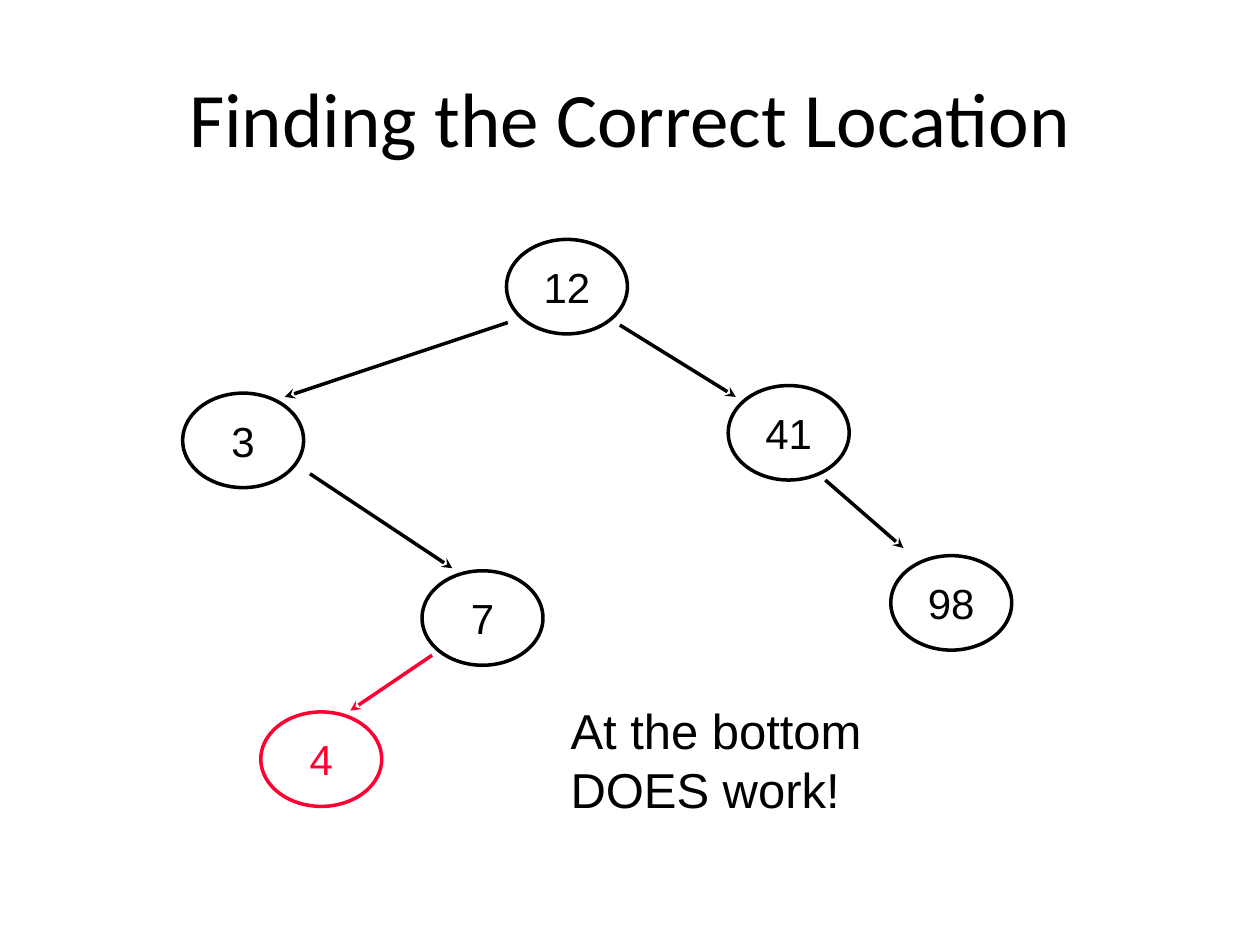
from lxml.etree import SubElement
from pptx import Presentation
from pptx.dml.color import RGBColor
from pptx.enum.shapes import MSO_CONNECTOR, MSO_SHAPE
from pptx.enum.text import MSO_ANCHOR, MSO_AUTO_SIZE, PP_ALIGN
from pptx.oxml.ns import qn
from pptx.util import Inches, Pt

BLACK = RGBColor(0x00, 0x00, 0x00)
RED = RGBColor(0xFF, 0x00, 0x33)

TITLE = "Finding the Correct Location"
REMARK = "At the bottom\nDOES work!"
NODE_WIDTH, NODE_HEIGHT = 0.96, 0.75
LINE_WIDTH = Pt(2)

# value, left, top, colour
NODES = [
    ("12", 4.02, 1.9, BLACK),
    ("3", 1.45, 3.12, BLACK),
    ("7", 3.35, 4.53, BLACK),
    ("41", 5.78, 3.06, BLACK),
    ("98", 7.07, 4.41, BLACK),
    ("4", 2.07, 5.65, RED),
]
# start, end, colour
ARROWS = [
    ((4.03, 2.56), (2.26, 3.15), BLACK),
    ((2.46, 3.76), (3.59, 4.51), BLACK),
    ((4.92, 2.58), (5.84, 3.15), BLACK),
    ((6.55, 3.81), (7.17, 4.35), BLACK),
    ((3.43, 5.2), (2.78, 5.64), RED),
]


def write(shape, text, size, font_name, color, align, anchor, wrap=False):
    text_frame = shape.text_frame
    text_frame.word_wrap = wrap
    text_frame.vertical_anchor = anchor
    paragraph = text_frame.paragraphs[0]
    paragraph.text = text
    paragraph.alignment = align
    for run in paragraph.runs:
        run.font.size = Pt(size)
        run.font.name = font_name
        run.font.color.rgb = color


def add_text(slide, box, *style, **options):
    shape = slide.shapes.add_textbox(*map(Inches, box))
    write(shape, *style, **options)
    return shape


def add_node(slide, value, left, top, color):
    box = map(Inches, (left, top, NODE_WIDTH, NODE_HEIGHT))
    node = slide.shapes.add_shape(MSO_SHAPE.OVAL, *box)
    node.shadow.inherit = False
    node.fill.background()
    node.line.color.rgb = color
    node.line.width = LINE_WIDTH
    write(node, value, 24, "Arial", color, PP_ALIGN.CENTER, MSO_ANCHOR.MIDDLE)


def add_arrow(slide, start, end, color):
    arrow = slide.shapes.add_connector(
        MSO_CONNECTOR.STRAIGHT, *map(Inches, start + end))
    arrow.line.color.rgb = color
    arrow.line.width = LINE_WIDTH
    SubElement(arrow.line._get_or_add_ln(), qn("a:tailEnd"), type="stealth")
    SubElement(arrow._element.spPr, qn("a:effectLst"))


def main():
    presentation = Presentation()
    presentation.slide_width, presentation.slide_height = Inches(10), Inches(7.5)
    slide = presentation.slides.add_slide(presentation.slide_layouts[6])

    add_text(slide, (0.5, 0.3, 9, 1.25), TITLE, 44, "Calibri", BLACK,
             PP_ALIGN.CENTER, MSO_ANCHOR.MIDDLE, wrap=True)
    for node in NODES:
        add_node(slide, *node)
    for arrow in ARROWS:
        add_arrow(slide, *arrow)
    remark = add_text(slide, (4.43, 5.51, 2.73, 1.03), REMARK, 28, "Arial", BLACK,
                      PP_ALIGN.LEFT, MSO_ANCHOR.TOP)
    remark.text_frame.auto_size = MSO_AUTO_SIZE.SHAPE_TO_FIT_TEXT

    presentation.save("out.pptx")


if __name__ == "__main__":
    main()
